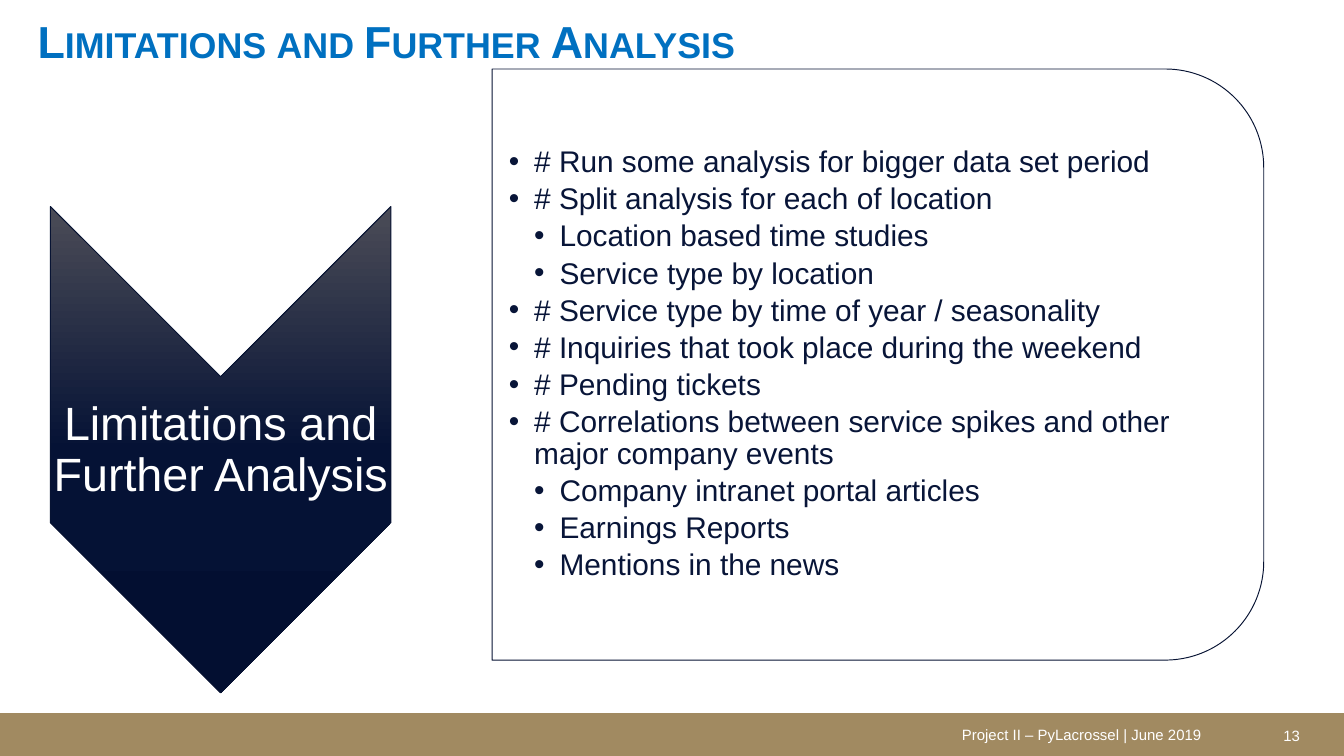
from lxml import etree
from pptx import Presentation
from pptx.dml.color import RGBColor
from pptx.enum import shapes, text
from pptx.oxml import ns
from pptx.util import Pt

TITLE = "Limitations and Further Analysis"
FOOTER = "Project II – PyLacrossel | June 2019"
PAGE = "13"
POINTS = [  # (level, wording)
    (1, "# Run some analysis for bigger data set period"),
    (1, "# Split analysis for each of location"),
    (2, "Location based time studies"),
    (2, "Service type by location"),
    (1, "# Service type by time of year / seasonality"),
    (1, "# Inquiries that took place during the weekend"),
    (1, "# Pending tickets"),
    (1, "# Correlations between service spikes and other major company events"),
    (2, "Company intranet portal articles"),
    (2, "Earnings Reports"),
    (2, "Mentions in the news"),
]

THEME = {
    "font": "Arial",
    "white": "FFFFFF", "band": "A18A61", "title": "0070C0",
    "outline": "071333", "body": "081538",
    "gradient": [(0, "4B4C57"), (50, "051235"), (100, "030F31")],
    "title_size": 24, "arrow_size": 25, "body_size": 16, "footer_size": 8,
}
SLIDE_W, SLIDE_H = 720, 405
INDENT = 13.6

# On-screen left, top, width, height in points
BAND = (0, 382, SLIDE_W, 23)
FOOTER_BOX = (508.2, 385.4, 167, 17)
PAGE_BOX = (680.4, 385.6, 39.6, 17)
TITLE_BOX = (13, 0, 450, 58.3)
ARROW = (27, 110.6, 182.4, 260.6)
ARROW_TEXT = (27, 202.3, 182.4, 78.5)
PANEL = (263.6, 37, 413.4, 316.7)
PANEL_TEXT = (263.6, 52.5, 398.2, 285.8)


def rgb(key):
    return RGBColor.from_string(THEME[key])


def sub(parent, tag, **attributes):
    return etree.SubElement(parent, ns.qn(tag), attributes)


def apply(target, values):
    for name, value in values.items():
        setattr(target, name, value)


def add_block(slide, preset, box, fill=None, outline=None, turned=False):
    """Add a shape filling the on-screen box, turned a quarter clockwise if asked."""
    left, top, width, height = box
    if turned:
        left, top = left + (width - height) / 2, top + (height - width) / 2
        width, height = height, width
    block = slide.shapes.add_shape(preset, *map(Pt, (left, top, width, height)))
    block.shadow.inherit = False
    block.rotation = 90 if turned else 0
    if fill:
        block.fill.solid()
        block.fill.fore_color.rgb = rgb(fill)
    if outline:
        block.line.color.rgb = rgb(outline)
        block.line.width = Pt(0.5)
    else:
        block.line.fill.background()
    return block


def shade_downwards(block, stops):
    """Shade from top to bottom on screen, whatever the rotation."""
    block.fill.gradient()
    gradient = block.element.spPr.find(ns.qn("a:gradFill"))
    gradient.set("rotWithShape", "0")
    for child in list(gradient):
        gradient.remove(child)
    stop_list = sub(gradient, "a:gsLst")
    for percent, colour in stops:
        stop = sub(stop_list, "a:gs", pos=str(percent * 1000))
        sub(stop, "a:srgbClr", val=colour)
    sub(gradient, "a:lin", ang="5400000", scaled="0")


def add_text(slide, box, lines, size, colour, bold=False, frame_format=None,
             paragraph_format=None):
    frame = slide.shapes.add_textbox(*map(Pt, box)).text_frame
    apply(frame, {"word_wrap": True, **(frame_format or {})})
    for i, line in enumerate(lines):
        paragraph = frame.paragraphs[0] if i == 0 else frame.add_paragraph()
        apply(paragraph, paragraph_format or {})
        run = paragraph.add_run()
        run.text = line
        apply(run.font, {"name": THEME["font"], "size": Pt(THEME[size]), "bold": bold})
        run.font.color.rgb = rgb(colour)
    return frame


def add_bullet(paragraph, level):
    paragraph.level = level
    properties = paragraph._p.get_or_add_pPr()
    properties.set("marL", str(Pt(INDENT * level)))
    properties.set("indent", str(-Pt(INDENT)))
    sub(properties, "a:buFont", typeface=THEME["font"])
    sub(properties, "a:buChar", char="•")


def insets(left, others):
    return {"margin_left": Pt(left), "margin_right": Pt(others),
            "margin_top": Pt(others), "margin_bottom": Pt(others)}


def main():
    deck = Presentation()
    apply(deck, {"slide_width": Pt(SLIDE_W), "slide_height": Pt(SLIDE_H)})
    slide = deck.slides.add_slide(deck.slide_layouts[6])
    preset = shapes.MSO_SHAPE
    middle = {"vertical_anchor": text.MSO_ANCHOR.MIDDLE}

    add_block(slide, preset.RECTANGLE, BAND, "band")
    for box, wording in ((FOOTER_BOX, FOOTER), (PAGE_BOX, PAGE)):
        add_text(slide, box, [wording], "footer_size", "white")

    title = add_text(slide, TITLE_BOX, [TITLE], "title_size", "title", bold=True,
                     frame_format=insets(7.2, 7.2))
    title.paragraphs[0].runs[0].font._element.set("cap", "small")

    arrow = add_block(slide, preset.CHEVRON, ARROW, outline="outline", turned=True)
    shade_downwards(arrow, THEME["gradient"])
    add_text(slide, ARROW_TEXT, [TITLE], "arrow_size", "white",
             frame_format={**middle, **insets(1.2, 1.2)},
             paragraph_format={"alignment": text.PP_ALIGN.CENTER, "line_spacing": 0.9,
                               "space_after": Pt(8.75)})

    panel = add_block(slide, preset.ROUND_2_SAME_RECTANGLE, PANEL, "white", "outline",
                      turned=True)
    panel_colour = panel.element.spPr.find(ns.qn("a:solidFill"))[0]
    sub(panel_colour, "a:alpha", val="90000")
    points = add_text(slide, PANEL_TEXT, [wording for _, wording in POINTS],
                      "body_size", "body", frame_format={**middle, **insets(9, 0.8)},
                      paragraph_format={"line_spacing": 0.9, "space_after": Pt(2.6)})
    for paragraph, (level, _) in zip(points.paragraphs, POINTS):
        add_bullet(paragraph, level)

    deck.save("out.pptx")


if __name__ == "__main__":
    main()
